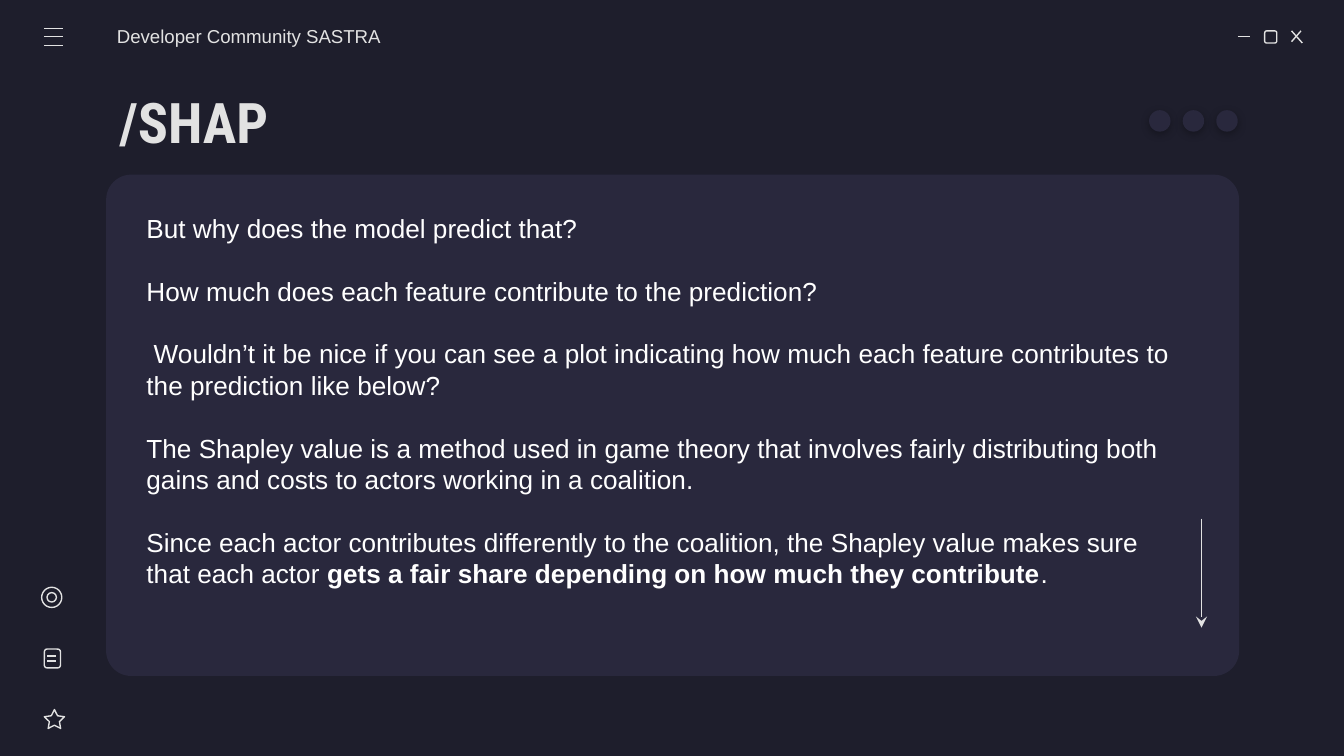
from typing import NamedTuple, Optional

from lxml import etree
from pptx import Presentation
from pptx.dml.color import RGBColor
from pptx.enum.shapes import MSO_CONNECTOR, MSO_SHAPE
from pptx.enum.text import MSO_ANCHOR
from pptx.oxml.ns import qn
from pptx.util import Inches, Pt

ROUND, OVAL, STAR = MSO_SHAPE.ROUNDED_RECTANGLE, MSO_SHAPE.OVAL, MSO_SHAPE.STAR_5_POINT
STRAIGHT = MSO_CONNECTOR.STRAIGHT
TOP, MIDDLE = MSO_ANCHOR.TOP, MSO_ANCHOR.MIDDLE

COLORS = {"bg": "1E1E2C", "panel": "29283D", "light": "E2E2E2", "white": "FFFFFF",
          "shadow": "000000"}
BODY_LINE = Pt(16.8)


class Form(NamedTuple):
    kind: int
    x: float
    y: float
    w: float
    h: float
    adj: tuple = ()
    fill: Optional[str] = None
    line: Optional[str] = "light"


class Line(NamedTuple):
    x1: float
    y1: float
    x2: float
    y2: float


class Label(NamedTuple):
    x: float
    y: float
    w: float
    h: float
    insets: tuple
    anchor: int
    font: str
    size: float
    color: str
    bold: bool
    paragraphs: list  # each paragraph is a list of (text, bold) runs


def rgb(name: str) -> RGBColor:
    return RGBColor.from_string(COLORS[name])


def add_form(s, f: Form):
    shape = s.shapes.add_shape(f.kind, Inches(f.x), Inches(f.y), Inches(f.w), Inches(f.h))
    shape.shadow.inherit = False
    for i, value in enumerate(f.adj):
        shape.adjustments[i] = value
    if f.fill:
        shape.fill.solid()
        shape.fill.fore_color.rgb = rgb(f.fill)
    else:
        shape.fill.background()
    if f.line:
        shape.line.color.rgb = rgb(f.line)
        shape.line.width = Pt(0.75)
    else:
        shape.line.fill.background()
    return shape


def add_line(s, ln: Line):
    c = s.shapes.add_connector(STRAIGHT, Inches(ln.x1), Inches(ln.y1),
                               Inches(ln.x2), Inches(ln.y2))
    c.line.color.rgb = rgb("light")
    c.line.width = Pt(0.75)
    etree.SubElement(c._element.spPr, qn("a:effectLst"))
    return c


def add_drop_shadow(shape) -> None:
    effects = shape._element.spPr.find(qn("a:effectLst"))
    shadow = etree.SubElement(effects, qn("a:outerShdw"), blurRad=str(Pt(4.5)),
                              dist=str(Pt(1.5)), dir="5400000", algn="bl",
                              rotWithShape="0")
    color = etree.SubElement(shadow, qn("a:srgbClr"), val=COLORS["shadow"])
    etree.SubElement(color, qn("a:alpha"), val="30000")


def add_label(s, lb: Label):
    box = s.shapes.add_textbox(Inches(lb.x), Inches(lb.y), Inches(lb.w), Inches(lb.h))
    tf = box.text_frame
    tf.word_wrap = True
    tf.vertical_anchor = lb.anchor
    tf.margin_left, tf.margin_top, tf.margin_right, tf.margin_bottom = map(Inches, lb.insets)
    for i, runs in enumerate(lb.paragraphs):
        p = tf.add_paragraph() if i else tf.paragraphs[0]
        for text, bold in runs:
            r = p.add_run()
            r.text = text
            r.font.name, r.font.size = lb.font, Pt(lb.size)
            r.font.bold = bold or lb.bold
            r.font.color.rgb = rgb(lb.color)
    return tf


TITLE = Label(0.79, 0.59, 8.43, 0.63, (0.1,) * 4, MIDDLE, "Roboto Condensed", 30,
              "light", True, [[("/SHAP", True)]])
HEADER = Label(0.87, 0.12, 2.15, 0.3, (0, 0.1, 0.1, 0.1), MIDDLE, "Arial", 10,
               "light", False, [[("Developer Community SASTRA", False)]])
BODY = Label(0.98, 1.29, 7.88, 3.4, (0.11, 0.29, 0.09, 0.05), TOP, "Arial", 14,
             "white", False, [
    [("But why does the model predict that?", False)],
    [("How much does each feature contribute to the prediction?", False)],
    [(" Wouldn’t it be nice if you can see a plot indicating how much each feature "
      "contributes to the prediction like below?", False)],
    [("The Shapley value is a method used in game theory that involves fairly "
      "distributing both gains and costs to actors working in a coalition.", False)],
    [("Since each actor contributes differently to the coalition, the Shapley value "
      "makes sure that each actor ", False),
     ("gets a fair share depending on how much they contribute", True),
     (".", False)],
])

ICON_FORMS = [
    Form(ROUND, 9.41, 0.23, 0.09, 0.09, (0.17,)),               # maximise
    Form(STAR, 0.33, 5.28, 0.15, 0.14, (0.25, 1.05, 1.11)),     # favourites
    Form(ROUND, 0.33, 4.83, 0.12, 0.14, (0.17,)),               # document
    Form(OVAL, 0.31, 4.37, 0.15, 0.15),                         # target, outer
    Form(OVAL, 0.35, 4.41, 0.07, 0.07),                         # target, inner
]
ICON_LINES = [
    Line(9.21, 0.27, 9.3, 0.27),                                # minimise
    Line(9.61, 0.23, 9.69, 0.32),                               # close
    Line(9.68, 0.23, 9.61, 0.31),
    *(Line(0.33, y, 0.47, y) for y in (0.21, 0.27, 0.34)),      # menu
    *(Line(0.35, y, 0.42, y) for y in (4.88, 4.92)),            # document text
]


def main() -> None:
    prs = Presentation()
    prs.slide_width = Inches(10)
    prs.slide_height = Inches(10 * 9 / 16)
    s = prs.slides.add_slide(prs.slide_layouts[6])
    s.background.fill.solid()
    s.background.fill.fore_color.rgb = rgb("bg")

    # Content panel
    add_form(s, Form(ROUND, 0.79, 1.3, 8.43, 3.73, (0.05,), "panel", None))

    # Window and sidebar icons
    for form in ICON_FORMS:
        add_form(s, form)
    for line in ICON_LINES:
        add_line(s, line)

    # Scroll arrow
    arrow = add_line(s, Line(8.94, 3.86, 8.94, 4.67))
    etree.SubElement(arrow.line._get_or_add_ln(), qn("a:tailEnd"), type="stealth")

    # Dots beside the title
    for i in range(3):
        add_drop_shadow(add_form(s, Form(OVAL, 8.55 + 0.25 * i, 0.82, 0.16, 0.16,
                                         fill="panel", line=None)))

    # Texts
    add_label(s, TITLE)
    add_label(s, HEADER)
    body = add_label(s, BODY)
    for i, p in enumerate(body.paragraphs):
        p.line_spacing = BODY_LINE
        p.space_before = BODY_LINE if i else Pt(0)

    prs.save("out.pptx")


if __name__ == "__main__":
    main()
